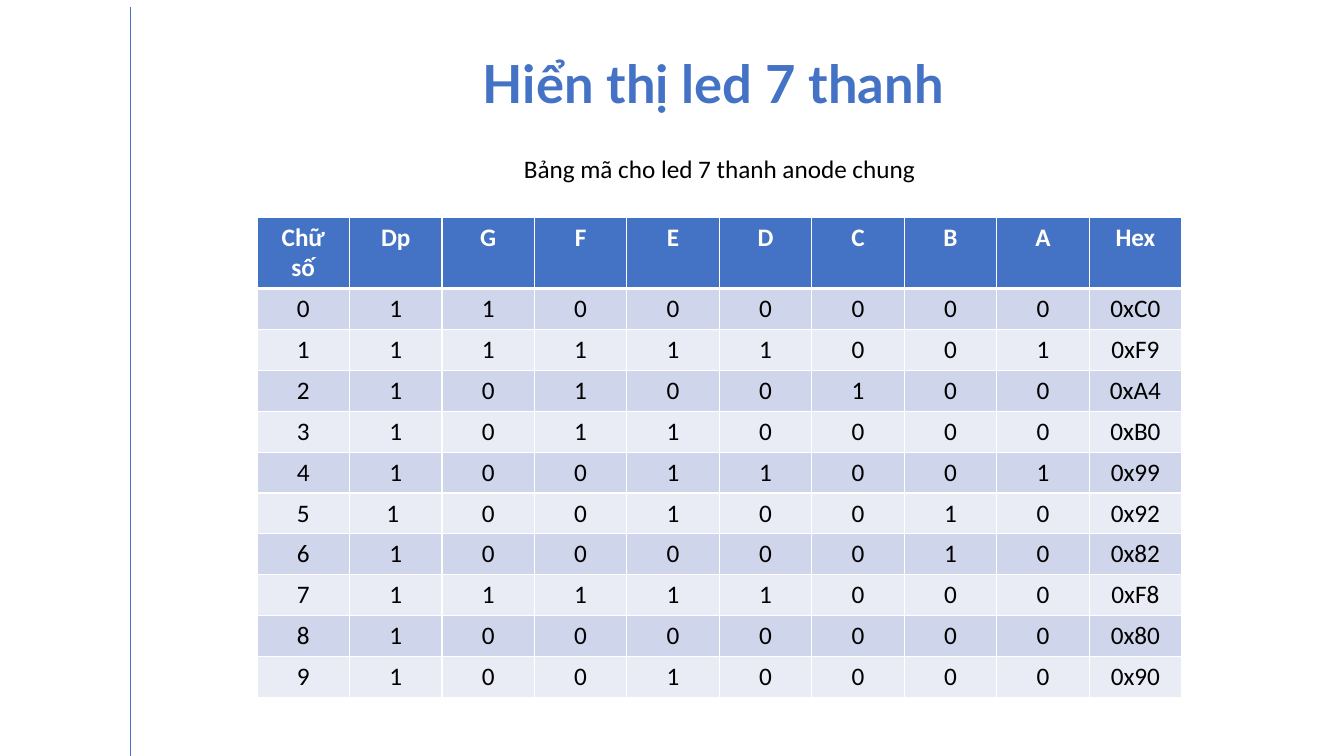
"""Build the slide with the code table for a common-anode seven-segment display."""
from lxml.etree import SubElement
from pptx import Presentation
from pptx.dml.color import RGBColor
from pptx.enum.shapes import MSO_CONNECTOR as Connector
from pptx.enum.text import MSO_ANCHOR as Anchor, MSO_AUTO_SIZE as AutoSize, PP_ALIGN as Align
from pptx.oxml.ns import qn
from pptx.util import Pt

TITLE = "Hiển thị led 7 thanh "
CAPTION = "Bảng mã cho led 7 thanh anode chung"
HEADERS = ["Chữ số", "Dp", "G", "F", "E", "D", "C", "B", "A", "Hex"]
CODES = [
    ("0", "1", "1", "0", "0", "0", "0", "0", "0", "0xC0"),
    ("1", "1", "1", "1", "1", "1", "0", "0", "1", "0xF9"),
    ("2", "1", "0", "1", "0", "0", "1", "0", "0", "0xA4"),
    ("3", "1", "0", "1", "1", "0", "0", "0", "0", "0xB0"),
    ("4", "1", "0", "0", "1", "1", "0", "0", "1", "0x99"),
    ("5", "1 ", "0", "0", "1", "0", "0", "1", "0", "0x92"),
    ("6", "1", "0", "0", "0", "0", "0", "1", "0", "0x82"),
    ("7", "1", "1", "1", "1", "1", "0", "0", "0", "0xF8"),
    ("8", "1", "0", "0", "0", "0", "0", "0", "0", "0x80"),
    ("9", "1", "0", "0", "1", "0", "0", "0", "0", "0x90"),
]

SCALE = 914400 / 100.8
SLIDE_SIZE = (1344, 756)
RULE = (130, 7, 130, 763)
TITLE_BOX = (102, 60, 1236, 60)
CAPTION_BOX = (257, 148, 925, 40)
TABLE_BOX = (257, 217, 925, 479)
HEADER_HEIGHT = 71

BLUE, WHITE, BLACK = "4472C4", "FFFFFF", "000000"
BANDS = ["CFD5EA", "E9EBF5"]
TITLE_FONT = {"name": "Lato", "size": Pt(37.5), "bold": True}
HEADER_FONT = {"name": "Calibri", "size": Pt(18), "bold": True}
BODY_FONT = {"name": "Calibri", "size": Pt(18), "bold": False}


def px(*lengths):
    """Turn pixels into EMU."""
    return [round(length * SCALE) for length in lengths]


def color(value):
    """Turn a hex string into a colour."""
    return RGBColor.from_string(value)


def write(frame, text, font, ink):
    """Write one centred paragraph."""
    para = frame.paragraphs[0]
    para.alignment = Align.CENTER
    span = para.add_run()
    span.text = text
    for name, value in font.items():
        setattr(span.font, name, value)
    span.font.color.rgb = color(ink)
    return para


def add_borders(cell, widths):
    """Draw white borders of the given widths in points."""
    for side, width in widths.items():
        line = SubElement(cell._tc.get_or_add_tcPr(), qn(f"a:ln{side}"), w=str(Pt(width)))
        SubElement(SubElement(line, qn("a:solidFill")), qn("a:srgbClr"), val=WHITE)


def fill_row(table, row, texts, font, ink, fill):
    """Fill one table row."""
    for column, text in enumerate(texts):
        cell = table.cell(row, column)
        write(cell.text_frame, text, font, ink)
        add_borders(cell, {"L": 1, "R": 1, "T": 3 if row == 1 else 1, "B": 3 if row == 0 else 1})
        cell.fill.solid()
        cell.fill.fore_color.rgb = color(fill)


deck = Presentation()
deck.slide_width, deck.slide_height = px(*SLIDE_SIZE)
page = deck.slides.add_slide(deck.slide_layouts[5])

rule = page.shapes.add_connector(Connector.STRAIGHT, *px(*RULE))
rule.line.color.rgb = color(BLUE)
rule.line.width = Pt(0.5)
SubElement(rule._element.spPr, qn("a:effectLst"))

title = page.shapes.title
title.left, title.top, title.width, title.height = px(*TITLE_BOX)
title.text_frame.auto_size = AutoSize.NONE
title.text_frame.vertical_anchor = Anchor.MIDDLE
write(title.text_frame, TITLE, TITLE_FONT, BLUE).line_spacing = 0.7

table = page.shapes.add_table(len(CODES) + 1, len(HEADERS), *px(*TABLE_BOX)).table
row_height = (TABLE_BOX[3] - HEADER_HEIGHT) / len(CODES)
for index, row in enumerate(table.rows):
    row.height = px(row_height if index else HEADER_HEIGHT)[0]
fill_row(table, 0, HEADERS, HEADER_FONT, WHITE, BLUE)
for index, code in enumerate(CODES):
    fill_row(table, index + 1, code, BODY_FONT, BLACK, BANDS[index % 2])

caption = page.shapes.add_textbox(*px(*CAPTION_BOX))
caption.text_frame.word_wrap = True
write(caption.text_frame, CAPTION, BODY_FONT, BLACK)

deck.save("out.pptx")
